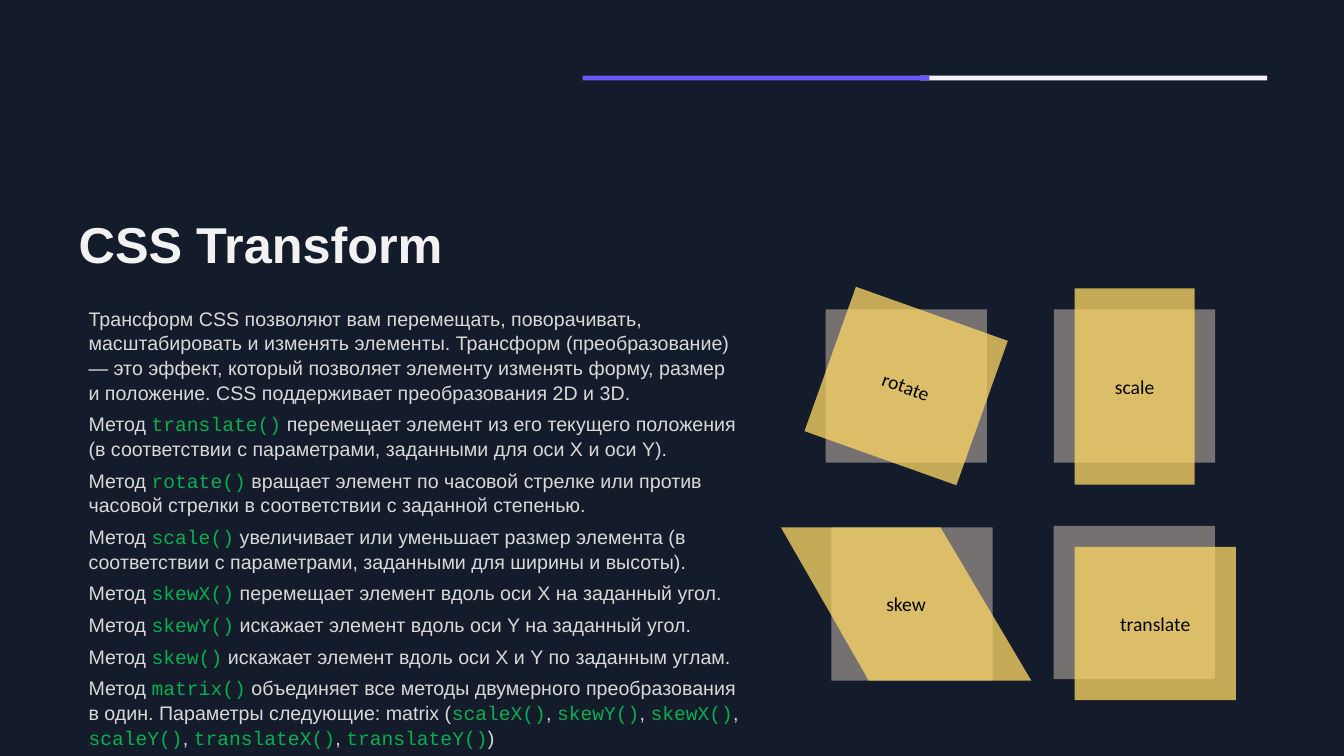
"""Build the CSS Transform slide."""
import pptx
import pptx.dml.color
import pptx.enum.shapes
import pptx.enum.text
import pptx.oxml
import pptx.oxml.ns
import pptx.util
from lxml import etree

Pt = pptx.util.Pt
RGBColor = pptx.dml.color.RGBColor
RECTANGLE = pptx.enum.shapes.MSO_SHAPE.RECTANGLE

NIGHT = RGBColor(0x14, 0x1B, 0x2A)
WHITE = RGBColor(0xF4, 0xF3, 0xFF)
VIOLET = RGBColor(0x67, 0x59, 0xFE)
TITLE_GREY = RGBColor(0xF2, 0xF2, 0xF2)
TEXT_GREY = RGBColor(0xD9, 0xD9, 0xD9)
CODE_GREEN = RGBColor(0x00, 0xB0, 0x50)
BASE_GREY = RGBColor(0x76, 0x71, 0x71)
YELLOW = RGBColor(0xFF, 0xD9, 0x66)
BLACK = RGBColor(0, 0, 0)

TITLE = "CSS Transform"
PARAGRAPHS = [
    "Трансформ CSS позволяют вам перемещать, поворачивать, масштабировать и изменять элементы. "
    "Трансформ (преобразование) — это эффект, который позволяет элементу изменять форму, размер "
    "и положение. CSS поддерживает преобразования 2D и 3D.",
    "Метод `translate()` перемещает элемент из его текущего положения "
    "(в соответствии с параметрами, заданными для оси X и оси Y).",
    "Метод `rotate()` вращает элемент по часовой стрелке или против часовой стрелки "
    "в соответствии с заданной степенью.",
    "Метод `scale()` увеличивает или уменьшает размер элемента "
    "(в соответствии с параметрами, заданными для ширины и высоты).",
    "Метод `skewX()` перемещает элемент вдоль оси X на заданный угол.",
    "Метод `skewY()` искажает элемент вдоль оси Y на заданный угол.",
    "Метод `skew()` искажает элемент вдоль оси X и Y по заданным углам.",
    "Метод `matrix()` объединяет все методы двумерного преобразования в один. "
    "Параметры следующие: matrix (`scaleX()`, `skewY()`, `skewX()`, `scaleY()`, "
    "`translateX()`, `translateY()`)",
]
BARS = [(657.4, WHITE), (416.2, VIOLET)]
BASE_WIDTH, BASE_HEIGHT = 115.2, 109.5
DEMOS = [
    {"label": "rotate", "base": (589.7, 221), "box": (589.7, 221, BASE_WIDTH, BASE_HEIGHT),
     "angle": 19.6},
    {"label": "scale", "base": (752.8, 221), "box": (767.6, 206, 85.7, 140.2)},
    {"label": "skew", "base": (593.8, 376.7),
     "outline": [(557.8, 376.7), (671.8, 376.7), (736.7, 486.2), (620.6, 486.2)]},
    {"label": "translate", "base": (752.7, 375.6),
     "box": (767.6, 390.7, BASE_WIDTH, BASE_HEIGHT)},
]


def paint(shape, color, opacity=100):
    """Give a shape a flat fill without line or shadow."""
    shape.shadow.inherit = False
    shape.line.fill.background()
    shape.fill.solid()
    shape.fill.fore_color.rgb = color
    if opacity < 100:
        tint = shape.fill._xPr.find(".//" + pptx.oxml.ns.qn("a:srgbClr"))
        etree.SubElement(tint, pptx.oxml.ns.qn("a:alpha"), val=str(opacity * 1000))


def add_rectangle(slide, box, color, opacity=100):
    """Add a painted rectangle."""
    shape = slide.shapes.add_shape(RECTANGLE, *map(Pt, box))
    paint(shape, color, opacity)
    return shape


def add_title(slide):
    """Place and format the title."""
    title = slide.shapes.title
    title.left, title.top, title.width, title.height = Pt(49), Pt(153.4), Pt(856), Pt(60.5)
    frame = title.text_frame
    frame.text = TITLE
    frame.vertical_anchor = pptx.enum.text.MSO_ANCHOR.TOP
    paragraph = frame.paragraphs[0]
    paragraph.alignment = pptx.enum.text.PP_ALIGN.LEFT
    paragraph.line_spacing = 0.9
    font = paragraph.font
    font.name, font.size, font.bold = "Arial", Pt(36), True
    font.color.rgb = TITLE_GREY


def add_description(slide):
    """Write the paragraphs, with method names in green code type."""
    frame = slide.shapes.add_textbox(Pt(49), Pt(214.6), Pt(486.7), Pt(314)).text_frame
    frame.word_wrap = True
    for index, text in enumerate(PARAGRAPHS):
        paragraph = frame.add_paragraph() if index else frame.paragraphs[0]
        paragraph.space_before = Pt(5)
        paragraph.line_spacing = 1.05
        paragraph._p.get_or_add_pPr().set("marL", str(Pt(7.2)))
        paragraph.font.size = Pt(14)
        for position, part in enumerate(text.split("`")):
            is_code = position % 2 == 1
            run = paragraph.add_run()
            run.text = part
            run.font.name = "Courier New" if is_code else "Arial"
            run.font.color.rgb = CODE_GREEN if is_code else TEXT_GREY


def add_demo(slide, demo):
    """Draw a grey base and its transformed yellow shape."""
    add_rectangle(slide, (*demo["base"], BASE_WIDTH, BASE_HEIGHT), BASE_GREY)
    if "outline" in demo:
        start, *corners = [(Pt(x), Pt(y)) for x, y in demo["outline"]]
        builder = slide.shapes.build_freeform(*start)
        builder.add_line_segments(corners)
        shape = builder.convert_to_shape()
        paint(shape, YELLOW, 75)
    else:
        shape = add_rectangle(slide, demo["box"], YELLOW, 75)
    shape.rotation = demo.get("angle", 0)
    frame = shape.text_frame
    frame.text = demo["label"]
    frame.vertical_anchor = pptx.enum.text.MSO_ANCHOR.MIDDLE
    paragraph = frame.paragraphs[0]
    paragraph.alignment = pptx.enum.text.PP_ALIGN.CENTER
    paragraph.font.name, paragraph.font.size = "Calibri", Pt(14)
    paragraph.font.color.rgb = BLACK


def main():
    """Assemble and save the presentation."""
    presentation = pptx.Presentation()
    presentation.slide_width, presentation.slide_height = Pt(960), Pt(540)
    slide = presentation.slides.add_slide(presentation.slide_layouts.get_by_name("Title Only"))
    slide.background.fill.solid()
    slide.background.fill.fore_color.rgb = NIGHT
    add_title(slide)
    for left, color in BARS:
        add_rectangle(slide, (left, 54, 247.7, 3.4), color)
    add_description(slide)
    for demo in DEMOS:
        add_demo(slide, demo)
    presentation.save("out.pptx")


if __name__ == "__main__":
    main()
